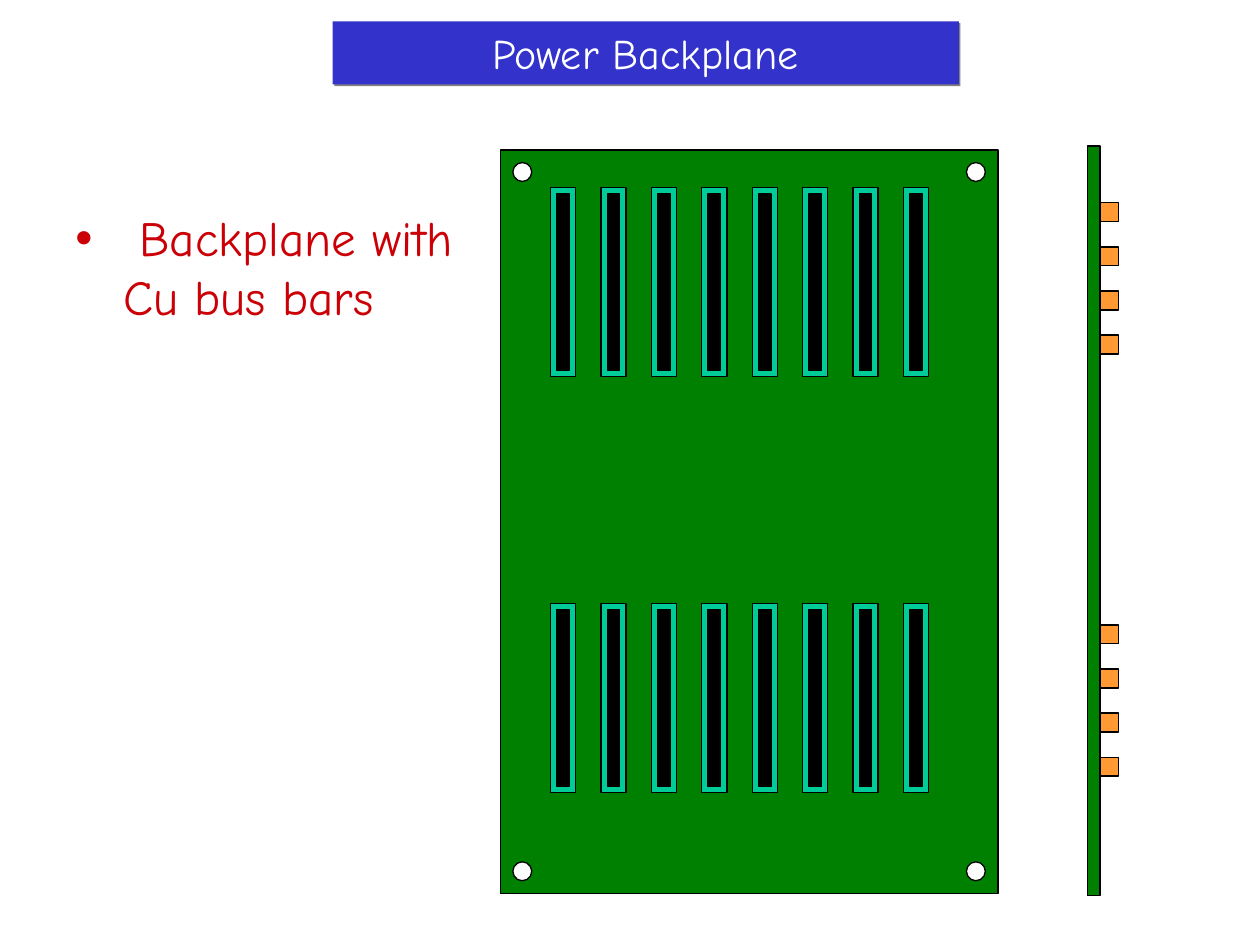
from lxml import etree
from pptx import Presentation
from pptx import util as u
from pptx.dml import color
from pptx.enum import shapes, text
from pptx.oxml import ns

COLORS = {
    "board": "008000", "connector": "00CC99", "black": "000000",
    "white": "FFFFFF", "copper": "FF9933", "title": "3333CC",
    "shadow": "808080", "body": "CB0007",
}
FONT = "Comic Neue"
RECTANGLE = shapes.MSO_SHAPE.RECTANGLE
OVAL = shapes.MSO_SHAPE.OVAL


def add_part(parent, kind, left, top, width, height, fill, outlined=True):
    shape = parent.shapes.add_shape(
        kind, u.Inches(left), u.Inches(top), u.Inches(width), u.Inches(height))
    shape.shadow.inherit = False
    shape.fill.solid()
    shape.fill.fore_color.rgb = color.RGBColor.from_string(COLORS[fill])
    if outlined:
        shape.line.color.rgb = color.RGBColor.from_string(COLORS["black"])
        shape.line.width = u.Pt(0.75)
    else:
        shape.line.fill.background()
    return shape


def add_run(paragraph, words, size, tint):
    run = paragraph.add_run()
    run.text = words
    run.font.name = FONT
    run.font.size = u.Pt(size)
    run.font.color.rgb = color.RGBColor.from_string(COLORS[tint])


presentation = Presentation()
presentation.slide_width = u.Inches(10)
presentation.slide_height = u.Inches(7.5)
slide = presentation.slides.add_slide(presentation.slide_layouts[6])

# Front view: board, two rows of eight connectors, mounting holes
front = slide.shapes.add_group_shape()
add_part(front, RECTANGLE, 3.97, 1.19, 3.95, 5.9, "board")
for column in range(8):
    left = 4.37 + 0.4 * column
    for top in (1.49, 4.79):
        add_part(front, RECTANGLE, left, top, 0.2, 1.5, "connector")
        add_part(front, RECTANGLE, left + 0.05, top + 0.05, 0.1, 1.4, "black")
for left in (4.07, 7.67):
    for top in (1.29, 6.84):
        add_part(front, OVAL, left, top, 0.15, 0.15, "white")

# Side view: board edge and two sets of four bus bars
add_part(slide, RECTANGLE, 8.63, 1.16, 0.1, 5.95, "board")
for first_top in (1.61, 4.96):
    bus_bars = slide.shapes.add_group_shape()
    for row in range(4):
        add_part(bus_bars, RECTANGLE, 8.73, first_top + 0.35 * row,
                 0.15, 0.15, "copper")

# Title bar with a small hard shadow
title = add_part(slide, RECTANGLE, 2.64, 0.17, 4.97, 0.5, "title", outlined=False)
effects = title._element.spPr.find(ns.qn("a:effectLst"))
shadow = etree.SubElement(effects, ns.qn("a:outerShdw"), dist=str(u.Pt(1.4)),
                          dir="2700000", algn="ctr", rotWithShape="0")
etree.SubElement(shadow, ns.qn("a:srgbClr"), val=COLORS["shadow"])
title.text_frame.vertical_anchor = text.MSO_ANCHOR.MIDDLE
paragraph = title.text_frame.paragraphs[0]
paragraph.alignment = text.PP_ALIGN.CENTER
add_run(paragraph, "Power Backplane", 24, "white")

# Body text with a hanging bullet
body = slide.shapes.add_textbox(
    u.Inches(0.5), u.Inches(1.6), u.Inches(3.23), u.Inches(5.35))
body.text_frame.word_wrap = True
paragraph = body.text_frame.paragraphs[0]
properties = paragraph._p.get_or_add_pPr()
properties.set("marL", str(u.Inches(0.38)))
properties.set("indent", str(u.Inches(-0.38)))
bullet_color = etree.SubElement(properties, ns.qn("a:buClr"))
etree.SubElement(bullet_color, ns.qn("a:srgbClr"), val=COLORS["body"])
etree.SubElement(properties, ns.qn("a:buFont"), typeface="Arial")
etree.SubElement(properties, ns.qn("a:buChar"), char="•")
add_run(paragraph, " Backplane with Cu bus bars", 28, "body")

presentation.save("out.pptx")
